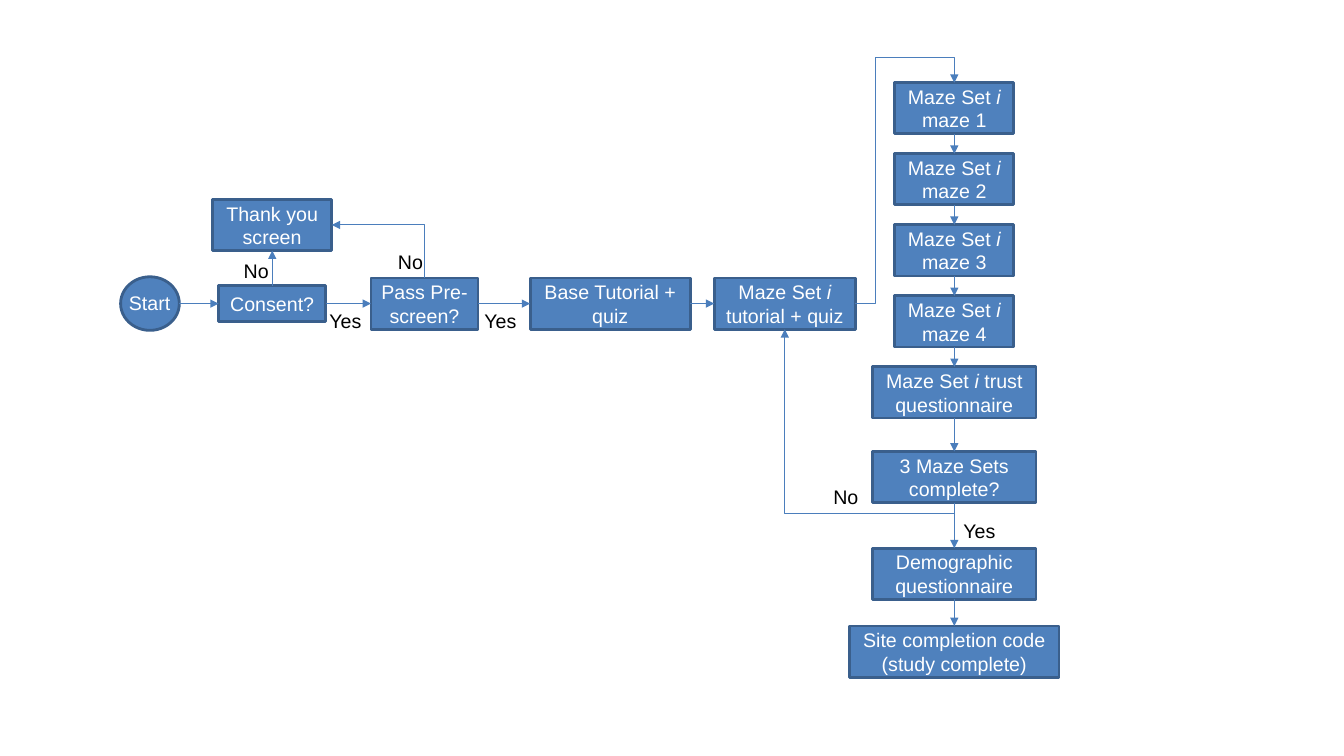
from pptx import Presentation
from pptx.dml.color import RGBColor
from pptx.enum.shapes import MSO_CONNECTOR, MSO_SHAPE
from pptx.enum.text import MSO_ANCHOR, MSO_AUTO_SIZE, PP_ALIGN
from pptx.oxml.ns import qn
from pptx.util import Cm, Pt
from lxml import etree

RECT, OVAL = MSO_SHAPE.RECTANGLE, MSO_SHAPE.OVAL
STRAIGHT, ELBOW = MSO_CONNECTOR.STRAIGHT, MSO_CONNECTOR.ELBOW
CENTER, LEFT, MIDDLE = PP_ALIGN.CENTER, PP_ALIGN.LEFT, MSO_ANCHOR.MIDDLE
FIT = MSO_AUTO_SIZE.SHAPE_TO_FIT_TEXT
TOP_SIDE, LEFT_SIDE, BOTTOM_SIDE, RIGHT_SIDE = range(4)

FILL, EDGE, ARROW, WHITE, BLACK = "4F81BD", "3A5F8C", "4B7EBC", "FFFFFF", "000000"
FONT = {"name": "Arial", "size": Pt(14)}
ROW_Y, COLUMN_X = 7.65, 24.05
MAZE_TOP, MAZE_STEP, BOX_H = 2.73, 1.79, 1.29

BOXES = {
    "start": ("", 3.78, ROW_Y, 1.48, 1.35),
    "consent": ("Consent?", 6.86, ROW_Y, 2.7, 0.9),
    "thanks": ("Thank you screen", 6.86, 5.67, 3, BOX_H),
    "prescreen": ("Pass Pre-screen?", 10.7, ROW_Y, 2.7, BOX_H),
    "base": ("Base Tutorial + quiz", 15.38, ROW_Y, 4.04, BOX_H),
    "tutorial": ("Maze Set *i* tutorial + quiz", 19.78, ROW_Y, 3.56, BOX_H),
    "trust": ("Maze Set *i* trust questionnaire", COLUMN_X, MAZE_TOP + 4 * MAZE_STEP, 4.12, BOX_H),
    "complete": ("3 Maze Sets complete?", COLUMN_X, 12.02, 4.12, BOX_H),
    "demographic": ("Demographic questionnaire", COLUMN_X, 14.46, 4.12, BOX_H),
    "code": ("Site completion code (study complete)", COLUMN_X, 16.42, 5.28, BOX_H),
}
MAZES = [f"maze {n}" for n in range(1, 5)]
for n, maze in enumerate(MAZES):
    BOXES[maze] = (f"Maze Set *i* {maze}", COLUMN_X, MAZE_TOP + n * MAZE_STEP, 3, BOX_H)

ROW = ["start", "consent", "prescreen", "base", "tutorial"]
COLUMN = MAZES + ["trust", "complete", "demographic", "code"]

BENT = [
    ("prescreen", TOP_SIDE, "thanks", RIGHT_SIDE, "bentConnector2", 270, "flipV", []),
    ("tutorial", RIGHT_SIDE, "maze 1", TOP_SIDE, "bentConnector4", 0, "flipV", [19800, 111400]),
    ("complete", BOTTOM_SIDE, "tutorial", BOTTOM_SIDE, "bentConnector3", 90, "flipH", [-6200]),
]

LABELS = [
    ("No", 5.89, 6.4, 1.14, BLACK),
    ("No", 9.78, 6.17, 1.14, BLACK),
    ("Yes", 8.05, 7.65, 1.37, BLACK),
    ("Yes", 11.96, 7.67, 1.37, BLACK),
    ("Yes", 24.03, 12.95, 1.37, BLACK),
    ("No", 20.75, 12.09, 1.14, BLACK),
    ("Start", 3, 7.21, 1.57, WHITE),
]


def rgb(code):
    return RGBColor.from_string(code)


def write(tf, text, color, align):
    p = tf.paragraphs[0]
    p.alignment = align
    for n, part in enumerate(text.split("*")):
        r = p.add_run()
        r.text = part
        for key, value in {**FONT, "italic": n % 2 == 1}.items():
            setattr(r.font, key, value)
        r.font.color.rgb = rgb(color)


def add_box(s, kind, text, cx, cy, w, h):
    sp = s.shapes.add_shape(kind, Cm(cx - w / 2), Cm(cy - h / 2), Cm(w), Cm(h))
    sp.shadow.inherit = False
    sp.fill.solid()
    sp.fill.fore_color.rgb = rgb(FILL)
    sp.line.color.rgb = rgb(EDGE)
    sp.line.width = Pt(2)
    if text:
        tf = sp.text_frame
        tf.word_wrap, tf.vertical_anchor = True, MIDDLE
        write(tf, text, WHITE, CENTER)
    return sp


def side_point(name, side):
    _, cx, cy, w, h = BOXES[name]
    dx, dy = [(0, -h), (-w, 0), (0, h), (w, 0)][side]
    return Cm(cx + dx / 2), Cm(cy + dy / 2)


def add_arrow(s, shapes, kind, begin, begin_side, end, end_side):
    c = s.shapes.add_connector(kind, *side_point(begin, begin_side), *side_point(end, end_side))
    if begin != "start":
        c.begin_connect(shapes[begin], begin_side)
    c.end_connect(shapes[end], end_side)
    c.line.color.rgb = rgb(ARROW)
    c.line.width = Pt(0.75)
    etree.SubElement(c.line._get_or_add_ln(), qn("a:tailEnd")).set("type", "triangle")
    etree.SubElement(c._element.spPr, qn("a:effectLst"))
    return c


def bend(c, preset, turn, flip, adjusts):
    mid_x, mid_y = (c.begin_x + c.end_x) // 2, (c.begin_y + c.end_y) // 2
    w, h = (c.height, c.width) if turn % 180 else (c.width, c.height)
    c.left, c.top, c.width, c.height = mid_x - w // 2, mid_y - h // 2, w, h
    xfrm = c._element.spPr.find(qn("a:xfrm"))
    for key in ("flipH", "flipV"):
        xfrm.set(key, "1" if key == flip else "0")
    xfrm.set("rot", str(turn * 60000))
    geom = c._element.spPr.find(qn("a:prstGeom"))
    geom.set("prst", preset)
    guides = geom.find(qn("a:avLst"))
    for n, value in enumerate(adjusts, 1):
        gd = etree.SubElement(guides, qn("a:gd"))
        gd.set("name", f"adj{n}")
        gd.set("fmla", f"val {value}")


def main():
    prs = Presentation()
    prs.slide_width, prs.slide_height = Cm(33.87), Cm(19.05)
    s = prs.slides.add_slide(prs.slide_layouts[6])
    shapes = {name: add_box(s, OVAL if name == "start" else RECT, *box)
              for name, box in BOXES.items()}
    for a, b in zip(ROW, ROW[1:]):
        add_arrow(s, shapes, STRAIGHT, a, RIGHT_SIDE, b, LEFT_SIDE)
    for a, b in zip(COLUMN, COLUMN[1:]):
        add_arrow(s, shapes, STRAIGHT, a, BOTTOM_SIDE, b, TOP_SIDE)
    add_arrow(s, shapes, STRAIGHT, "consent", TOP_SIDE, "thanks", BOTTOM_SIDE)
    for begin, begin_side, end, end_side, *route in BENT:
        bend(add_arrow(s, shapes, ELBOW, begin, begin_side, end, end_side), *route)
    for text, x, y, w, color in LABELS:
        tf = s.shapes.add_textbox(Cm(x), Cm(y), Cm(w), Cm(0.86)).text_frame
        tf.word_wrap, tf.auto_size = False, FIT
        write(tf, text, color, LEFT)
    prs.save("out.pptx")


if __name__ == "__main__":
    main()
